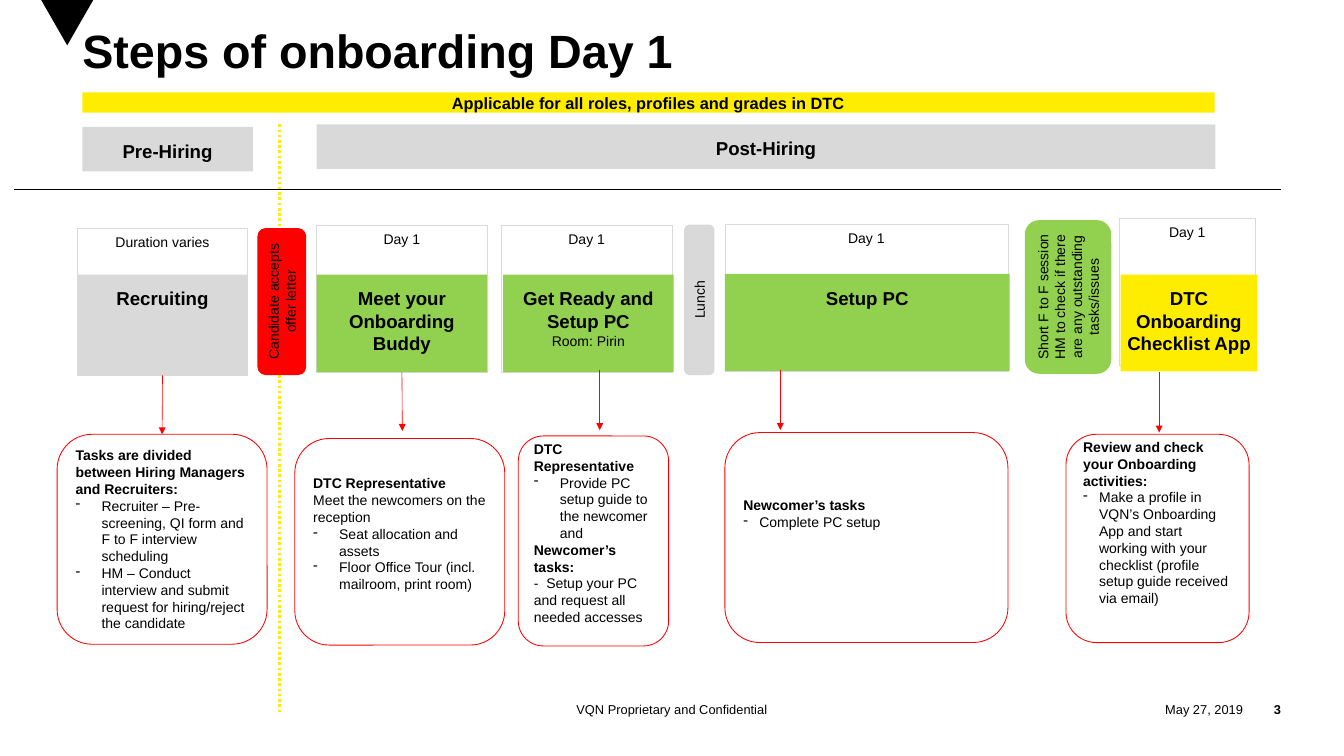
from lxml import etree
from pptx import Presentation
from pptx import util as u
from pptx.dml.color import RGBColor
from pptx.enum import dml, shapes, text
from pptx.oxml.ns import qn

HUES = {"black": "000000", "white": "FFFFFF", "gray": "D9D9D9", "red": "FF0000",
        "green": "92D050", "yellow": "FFED00"}
FORMS = shapes.MSO_SHAPE
MID, TOP = text.MSO_ANCHOR.MIDDLE, text.MSO_ANCHOR.TOP
LEFT, RIGHT, MIDST = text.PP_ALIGN.LEFT, text.PP_ALIGN.RIGHT, text.PP_ALIGN.CENTER
BADGE = (0.06, 0.06, 0.06, 0.06)
HEAD = (0.06, 0.15, 0.06, 0.05)
PLAIN = (0.1, 0.05, 0.1, 0.05)


def hue(name):
    return RGBColor.from_string(HUES[name])


def write(shape, rows, align=MIDST, anchor=MID, pads=PLAIN, wrap=True):
    frame = shape.text_frame
    frame.word_wrap = wrap
    frame.auto_size = text.MSO_AUTO_SIZE.NONE
    frame.vertical_anchor = anchor
    (frame.margin_left, frame.margin_top,
     frame.margin_right, frame.margin_bottom) = map(u.Inches, pads)
    for i, (words, size, bold, indent) in enumerate(rows):
        para = frame.add_paragraph() if i else frame.paragraphs[0]
        para.text = words
        para.alignment = align
        if indent:
            props = para._p.get_or_add_pPr()
            props.set("marL", str(u.Inches(indent)))
            props.set("indent", str(-u.Inches(indent)))
            etree.SubElement(props, qn("a:buChar")).set("char", "-")
        para.font.name = "Arial"
        para.font.size = u.Pt(size)
        para.font.bold = bold
        para.font.color.rgb = hue("black")


def draw(slide, form, place, fill=None, edge=None, width=0.5):
    shape = slide.shapes.add_shape(form, *map(u.Inches, place))
    shape.shadow.inherit = False
    if fill:
        shape.fill.solid()
        shape.fill.fore_color.rgb = hue(fill)
    else:
        shape.fill.background()
    if edge:
        shape.line.color.rgb = hue(edge)
        shape.line.width = u.Pt(width)
    else:
        shape.line.fill.background()
    return shape


def rule(slide, start, end, tint, width=0.5, dash=None, head=False):
    line = slide.shapes.add_connector(shapes.MSO_CONNECTOR.STRAIGHT,
                                      *map(u.Inches, start + end))
    line.line.color.rgb = hue(tint)
    line.line.width = u.Pt(width)
    if dash:
        line.line.dash_style = dash
    if head:
        etree.SubElement(line.line._get_or_add_ln(), qn("a:tailEnd")).set("type", "triangle")
    etree.SubElement(line._element.spPr, qn("a:effectLst"))
    return line


def band(slide, place, words):
    write(draw(slide, FORMS.RECTANGLE, place, "gray"), [(words, 16, True, 0)],
          anchor=TOP, pads=HEAD)


def step(slide, time, when, place, fill, words, note=None):
    write(draw(slide, FORMS.RECTANGLE, time, "white", "gray"), [(when, 12, False, 0)],
          anchor=TOP, pads=BADGE)
    rows = [(words, 16, True, 0)]
    if note:
        rows.append((note, 12, False, 0))
    card = draw(slide, FORMS.RECTANGLE, place, fill)
    write(card, rows, anchor=TOP, pads=HEAD)
    return card


def badge(slide, place, fill, *lines):
    shape = draw(slide, FORMS.ROUNDED_RECTANGLE, place, fill)
    shape.rotation = 270
    write(shape, [(line, 12, False, 0) for line in lines], pads=BADGE)


def task(slide, place, rows, lift=0):
    shape = draw(slide, FORMS.ROUNDED_RECTANGLE, place, edge="red", width=0.75)
    write(shape, [(words, 12, bold, indent) for words, bold, indent in rows],
          LEFT, pads=(0.1, 0.05, 0.1, 0.05 + lift * 0.19))
    return shape


def arrow(slide, x, top, end, card=None, goal=None):
    line = rule(slide, (x, top), (x, end), "red", head=True)
    if card:
        line.begin_connect(card, 2)
    if goal:
        line.end_connect(goal, 0)


def label(slide, place, words, align, bold=False, wrap=False):
    box = slide.shapes.add_textbox(*map(u.Inches, place))
    write(box, [(words, 11, bold, 0)], align, pads=(0, 0, 0, 0), wrap=wrap)


def frame(slide):
    draw(slide, FORMS.FLOWCHART_MERGE, (0.49, 0, 0.62, 0.54), "black")
    label(slide, (13.01, 8.29, 1.79, 0.3), "May 27, 2019", RIGHT)
    label(slide, (14.8, 8.29, 0.45, 0.3), "3", RIGHT, True, True)
    label(slide, (5.25, 8.29, 5.5, 0.3), "VQN Proprietary and Confidential", MIDST)
    title = slide.shapes.title
    title.left, title.top, title.width, title.height = map(u.Inches, (0.98, 0.36, 13.27, 0.67))
    write(title, [("Steps of onboarding Day 1", 40, True, 0)], LEFT, TOP, (0, 0, 0, 0))
    title.text_frame.paragraphs[0].line_spacing = 0.85
    bar = draw(slide, FORMS.RECTANGLE, (0.98, 1.1, 13.48, 0.24), "yellow")
    write(bar, [("Applicable for all roles, profiles and grades in DTC", 14, True, 0)])
    rule(slide, (3.33, 1.48), (3.33, 8.48), "yellow", 2.25, dml.MSO_LINE.ROUND_DOT)
    rule(slide, (0.17, 2.25), (15.25, 2.25), "black")
    band(slide, (0.98, 1.51, 2.03, 0.53), "Pre-Hiring")
    band(slide, (3.77, 1.48, 10.7, 0.53), "Post-Hiring")


def main():
    deck = Presentation()
    deck.slide_width, deck.slide_height = u.Inches(16), u.Inches(9)
    slide = deck.slides.add_slide(deck.slide_layouts[5])
    frame(slide)

    hire = step(slide, (0.92, 2.72, 2.03, 1.75), "Duration varies",
                (0.92, 3.27, 2.03, 1.2), "gray", "Recruiting")
    meet = step(slide, (3.77, 2.68, 2.03, 1.75), "Day 1",
                (3.77, 3.27, 2.03, 1.16), "green", "Meet your Onboarding Buddy")
    step(slide, (5.97, 2.68, 2.03, 1.75), "Day 1",
         (5.99, 3.27, 2.03, 1.16), "green", "Get Ready and Setup PC", "Room: Pirin")
    step(slide, (8.63, 2.67, 3.37, 1.75), "Day 1",
         (8.63, 3.26, 3.39, 1.16), "green", "Setup PC")
    step(slide, (13.32, 2.6, 1.63, 1.75), "Day 1",
         (13.34, 3.27, 1.63, 1.15), "yellow", "DTC Onboarding Checklist App")

    badge(slide, (2.48, 3.3, 1.75, 0.58), "red", "Candidate accepts\voffer letter")
    badge(slide, (7.43, 3.39, 1.79, 0.36), "gray", "Lunch")
    badge(slide, (11.8, 3.02, 1.83, 1.03), "green", "Short F to F session",
          "HM to check if there are any outstanding tasks/issues")

    split = task(slide, (0.68, 5.17, 2.5, 2.5), [
        ("Tasks are divided between Hiring Managers and Recruiters:", True, 0),
        ("Recruiter – Pre-screening, QI form and F to F interview scheduling", False, 0.31),
        ("HM – Conduct interview and submit request for hiring/reject the candidate",
         False, 0.31)])
    task(slide, (3.51, 5.22, 2.5, 2.46), [
        ("DTC Representative", True, 0),
        ("Meet the newcomers on the reception", False, 0),
        ("Seat allocation and assets", False, 0.31),
        ("Floor Office Tour (incl. mailroom, print room)", False, 0.31)], 1)
    task(slide, (6.17, 5.19, 1.79, 2.5), [
        ("DTC Representative", True, 0),
        ("Provide PC setup guide to the newcomer and", False, 0.31),
        ("Newcomer’s tasks:", True, 0),
        ("-  Setup your PC and request all needed accesses", False, 0)], 1)
    task(slide, (8.63, 5.15, 3.37, 2.5), [
        ("Newcomer’s tasks", True, 0),
        ("Complete PC setup", False, 0.19)], 3)
    task(slide, (12.69, 5.17, 2.18, 2.48), [
        ("Review and check your Onboarding activities:", True, 0),
        ("Make a profile in VQN’s Onboarding App and start working with your checklist "
         "(profile setup guide received via email)", False, 0.19)], 2)

    arrow(slide, 1.93, 4.47, 5.17, hire, split)
    arrow(slide, 4.79, 4.43, 5.13, meet)
    for x, top in ((7.14, 4.4), (9.29, 4.4), (13.8, 4.43)):
        arrow(slide, x, top, top + 0.72)

    deck.save("out.pptx")


if __name__ == "__main__":
    main()
